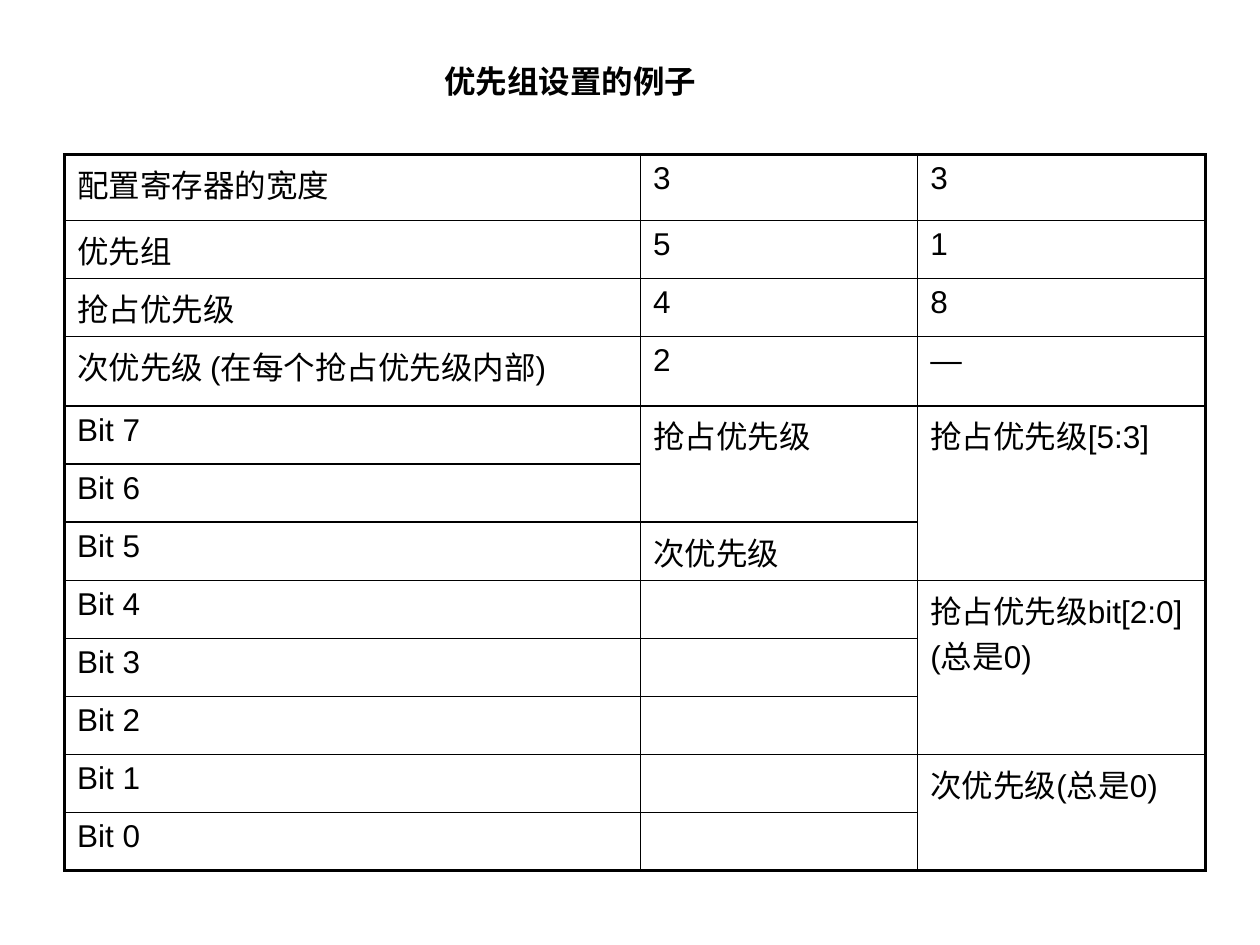
import pptx
import pptx.dml.color
import pptx.enum.text
import pptx.oxml
import pptx.oxml.ns
import pptx.util
from pptx.util import Cm

BLACK = pptx.dml.color.RGBColor(0, 0, 0)
FONT = "Arial"
TEXT_SIZE = pptx.util.Pt(18)
THIN, THICK = 1, 2.25

COLUMN_WIDTHS = [11.61, 5.59, 5.8]
ROW_HEIGHTS = [1.32, 1.17, 1.17, 1.4] + [1.17] * 8

# Each entry is (text, rows covered)
COLUMNS = [
    [(name, 1) for name in ["配置寄存器的宽度", "优先组", "抢占优先级",
                            "次优先级 (在每个抢占优先级内部)"]]
    + [(f"Bit {bit}", 1) for bit in range(7, -1, -1)],
    [("3", 1), ("5", 1), ("4", 1), ("2", 1), ("抢占优先级", 2), ("次优先级", 1)]
    + [("", 1)] * 5,
    [("3", 1), ("1", 1), ("8", 1), ("—", 1), ("抢占优先级[5:3]", 3),
     ("抢占优先级bit[2:0] (总是0)", 3), ("次优先级(总是0)", 2)],
]


class SlideWriter:
    def __init__(self, page):
        self.page = page

    def add_span(self, para, text, bold=False):
        span = para.add_run()
        span.text = text
        span.font.name = FONT
        span.font.size = TEXT_SIZE
        span.font.bold = bold
        span.font.color.rgb = BLACK

    def title(self, text, left, top, width, height):
        box = self.page.shapes.add_textbox(Cm(left), Cm(top), Cm(width), Cm(height))
        box.text_frame.word_wrap = True
        box.text_frame.auto_size = pptx.enum.text.MSO_AUTO_SIZE.SHAPE_TO_FIT_TEXT
        self.add_span(box.text_frame.paragraphs[0], text, bold=True)

    def border(self, cell, sides):
        properties = cell._tc.get_or_add_tcPr()
        for position, (side, weight) in enumerate(sides.items()):
            line = pptx.oxml.parse_xml(
                f'<a:ln{side} {pptx.oxml.ns.nsdecls("a")} w="{pptx.util.Pt(weight)}">'
                f'<a:solidFill><a:srgbClr val="{BLACK}"/></a:solidFill></a:ln{side}>')
            properties.insert(position, line)

    def table(self, left, top, widths, heights, columns):
        frame = self.page.shapes.add_table(
            len(heights), len(widths), Cm(left), Cm(top),
            Cm(sum(widths)), Cm(sum(heights)))
        table = frame.table
        table.first_row = table.horz_banding = False
        for column, width in zip(table.columns, widths):
            column.width = Cm(width)
        for row, height in zip(table.rows, heights):
            row.height = Cm(height)

        # Text and merged cells
        for column_index, entries in enumerate(columns):
            row_index = 0
            for text, covered in entries:
                cell = table.cell(row_index, column_index)
                row_index += covered
                if covered > 1:
                    cell.merge(table.cell(row_index - 1, column_index))
                para = cell.text_frame.paragraphs[0]
                if text:
                    self.add_span(para, text)
                else:
                    para.font.size = TEXT_SIZE

        # Thick outer frame, thin inner lines
        last_row, last_column = len(heights) - 1, len(widths) - 1
        for row_index in range(len(heights)):
            for column_index in range(len(widths)):
                cell = table.cell(row_index, column_index)
                cell.fill.background()
                sides = {"L": THIN if column_index else THICK,
                         "R": THICK if column_index == last_column else THIN}
                if not cell.is_spanned:
                    sides["T"] = THIN if row_index else THICK
                bottom_row = row_index
                if cell.is_merge_origin:
                    bottom_row += cell.span_height - 1
                if not cell.is_spanned or row_index == last_row:
                    sides["B"] = THICK if bottom_row == last_row else THIN
                self.border(cell, sides)


def main():
    deck = pptx.Presentation()
    deck.slide_width, deck.slide_height = Cm(25.4), Cm(19.05)
    writer = SlideWriter(deck.slides.add_slide(deck.slide_layouts[6]))
    writer.table(1.3, 3.12, COLUMN_WIDTHS, ROW_HEIGHTS, COLUMNS)
    writer.title("优先组设置的例子", 8.71, 1.12, 11.4, 1.02)
    deck.save("out.pptx")


if __name__ == "__main__":
    main()
